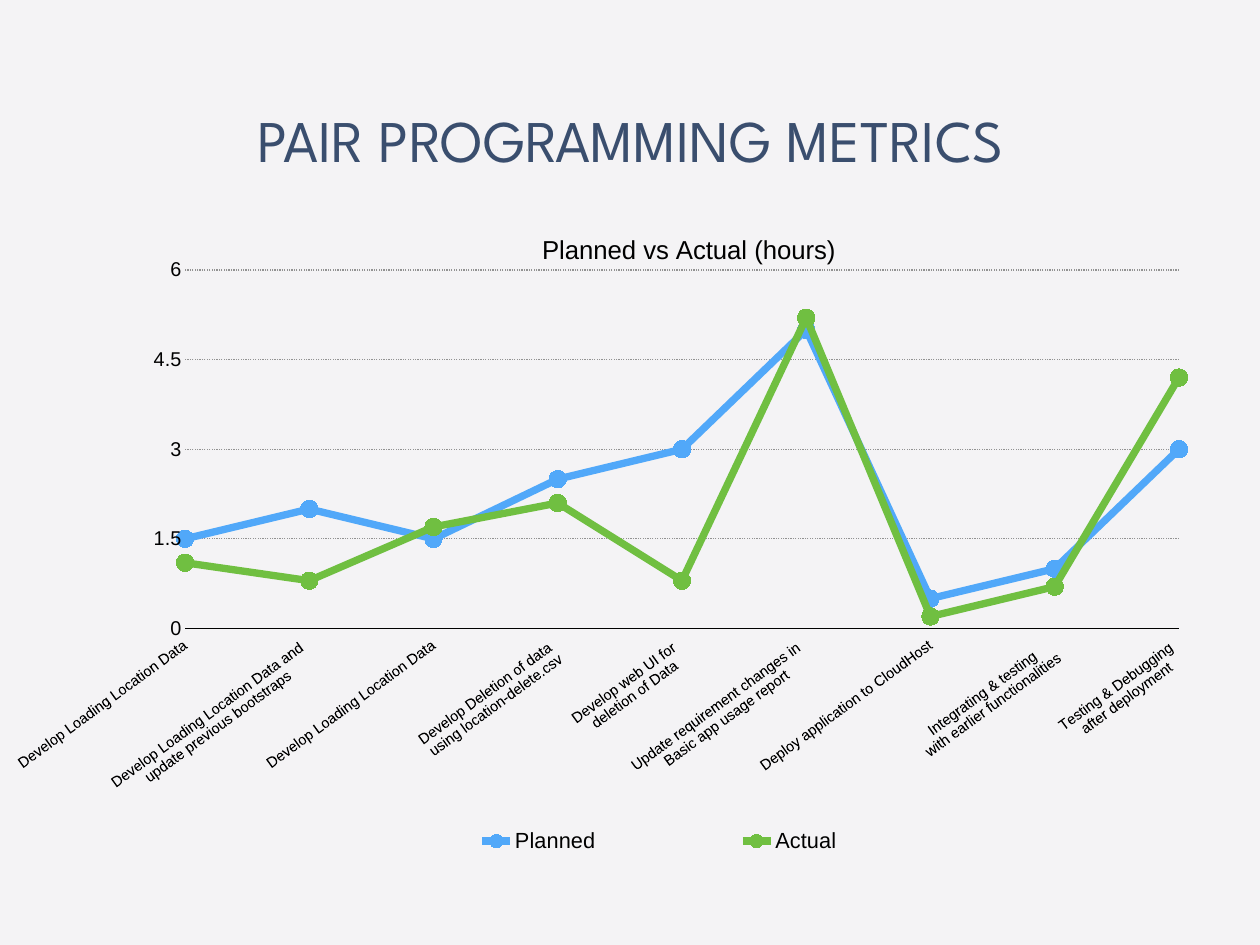
from lxml import etree
from pptx import Presentation
from pptx import util as u
from pptx.chart.data import CategoryChartData
from pptx.dml.color import RGBColor
from pptx.enum import chart as charts, dml, text
from pptx.oxml import parse_xml
from pptx.oxml.ns import nsdecls, qn

WIDTH, HEIGHT = u.Inches(14.22), u.Inches(10.67)


class Theme:
    background = "F4F3F5"
    heading = "3A4E6E"
    ink = "000000"
    grid = "929292"
    heading_font, chart_font = "League Spartan", "Arial"
    heading_size, chart_title_size, legend_size = 48, 21.1, 17.8
    value_size, category_size = 16.2, 12.2
    line_width, marker_size = 6, 14


CATEGORIES = [
    "Develop Loading Location Data",
    "Develop Loading Location Data and \nupdate previous bootstraps",
    "Develop Loading Location Data",
    "Develop Deletion of data \nusing location-delete.csv",
    "Develop web UI for \ndeletion of Data",
    "Update requirement changes in \nBasic app usage report",
    "Deploy application to CloudHost",
    "Integrating & testing\n with earlier functionalities",
    "Testing & Debugging \nafter deployment",
]
# Series name: (colour, hours for each task)
HOURS = {
    "Planned": ("51A8F9", [1.5, 2, 1.5, 2.5, 3, 5, 0.5, 1, 3]),
    "Actual": ("70BF41", [1.1, 0.8, 1.7, 2.1, 0.8, 5.2, 0.2, 0.7, 4.2]),
}


def share_box(left, top, width, height):
    """Turn shares of the slide into lengths."""
    return [int(share * side) for share, side in
            zip((left, top, width, height), (WIDTH, HEIGHT, WIDTH, HEIGHT))]


def set_font(font, name, size, color):
    font.name, font.size, font.bold = name, u.Pt(size), False
    font.color.rgb = RGBColor.from_string(color)


def set_line(line, color, width):
    line.color.rgb = RGBColor.from_string(color)
    line.width = u.Pt(width)


def set_layout(element, following, target=None, **shares):
    """Place a chart part by shares of the chart, ahead of the named child."""
    for old in element.findall(qn("c:layout")):
        element.remove(old)
    layout = parse_xml(f"<c:layout {nsdecls('c')}><c:manualLayout/></c:layout>")
    values = {"layoutTarget": target} if target else {}
    values.update(xMode="edge", yMode="edge", **shares)
    for tag, value in values.items():
        etree.SubElement(layout[0], qn(f"c:{tag}")).set("val", str(value))
    element.find(qn(f"c:{following}")).addprevious(layout)


def add_title(slide, words):
    title = slide.shapes.title
    title.left, title.top, title.width, title.height = share_box(0.007, 0.065, 0.987, 0.163)
    frame = title.text_frame
    frame.text = words
    frame.vertical_anchor = text.MSO_ANCHOR.MIDDLE
    paragraph = frame.paragraphs[0]
    paragraph.alignment = text.PP_ALIGN.CENTER
    set_font(paragraph.font, Theme.heading_font, Theme.heading_size, Theme.heading)


def add_chart_title(chart, words):
    title = chart.chart_title
    title.text_frame.text = words
    set_font(title.text_frame.paragraphs[0].font,
             Theme.chart_font, Theme.chart_title_size, Theme.ink)
    set_layout(title._element, "overlay", x=0.42, y=0.01)


def format_axes(chart):
    for axis, size in ((chart.category_axis, Theme.category_size),
                       (chart.value_axis, Theme.value_size)):
        axis.major_tick_mark = axis.minor_tick_mark = charts.XL_TICK_MARK.NONE
        set_font(axis.tick_labels.font, Theme.chart_font, size, Theme.ink)
    # Tasks: slanted labels below a solid axis
    tasks = chart.category_axis
    tasks.tick_label_position = charts.XL_TICK_LABEL_POSITION.LOW
    set_line(tasks.format.line, Theme.ink, 1)
    tasks._element.find(f"{qn('c:txPr')}/{qn('a:bodyPr')}").set("rot", "-2160000")
    # Hours: dotted gridlines, first point on the axis
    hours = chart.value_axis
    hours.minimum_scale, hours.maximum_scale, hours.major_unit = 0, 6, 1.5
    hours.tick_labels.number_format = "General"
    hours.tick_labels.number_format_is_linked = False
    hours.format.line.fill.background()
    set_line(hours.major_gridlines.format.line, Theme.grid, 1)
    hours.major_gridlines.format.line.dash_style = dml.MSO_LINE.ROUND_DOT
    crossing = parse_xml(f"<c:crossBetween {nsdecls('c')} val='midCat'/>")
    hours._element.find(qn("c:majorUnit")).addprevious(crossing)


def format_series(series, color):
    series.smooth = False
    set_line(series.format.line, color, Theme.line_width)
    marker = series.marker
    marker.style = charts.XL_MARKER_STYLE.CIRCLE
    marker.size = Theme.marker_size
    marker.format.fill.solid()
    marker.format.fill.fore_color.rgb = RGBColor.from_string(color)
    marker.format.line.fill.background()


def add_legend(chart):
    chart.has_legend = True
    legend = chart.legend
    legend.position = charts.XL_LEGEND_POSITION.BOTTOM
    legend.include_in_layout = True
    set_font(legend.font, Theme.chart_font, Theme.legend_size, Theme.ink)
    set_layout(legend._element, "overlay", x=0.26, y=0.92, w=0.52, h=0.07)


def add_hours_chart(slide):
    data = CategoryChartData()
    data.categories = CATEGORIES
    for name, (_, values) in HOURS.items():
        data.add_series(name, values)
    chart = slide.shapes.add_chart(charts.XL_CHART_TYPE.LINE_MARKERS,
                                   *share_box(0.012, 0.235, 0.976, 0.686), data).chart
    set_font(chart.font, Theme.chart_font, Theme.category_size, Theme.ink)
    plot = chart.plots[0]
    plot.vary_by_categories = False
    add_chart_title(chart, "Planned vs Actual (hours)")
    format_axes(chart)
    for series in plot.series:
        format_series(series, HOURS[series.name][0])
    add_legend(chart)
    set_layout(plot._element.getparent(), "lineChart", "inner",
               x=0.131, y=0.074, w=0.815, h=0.553)


def main():
    presentation = Presentation()
    presentation.slide_width, presentation.slide_height = WIDTH, HEIGHT
    slide = presentation.slides.add_slide(presentation.slide_layouts.get_by_name("Title Only"))
    slide.background.fill.solid()
    slide.background.fill.fore_color.rgb = RGBColor.from_string(Theme.background)
    add_title(slide, "PAIR PROGRAMMING METRICS")
    add_hours_chart(slide)
    presentation.save("out.pptx")


if __name__ == "__main__":
    main()
